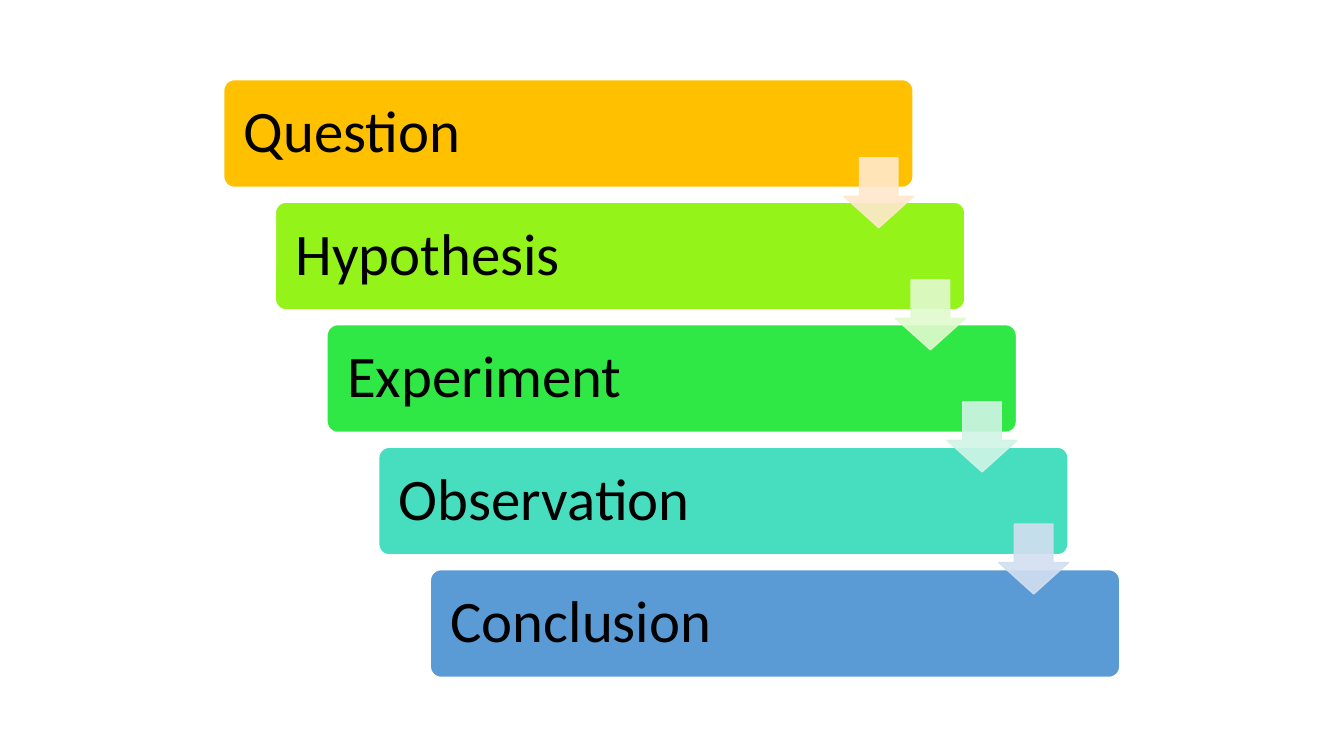
from dataclasses import dataclass

from lxml import etree
from pptx import Presentation
from pptx.dml.color import RGBColor
from pptx.enum.shapes import MSO_SHAPE
from pptx.enum.text import MSO_ANCHOR, PP_ALIGN
from pptx.oxml.ns import qn
from pptx.util import Pt


@dataclass(frozen=True)
class Theme:
    font: str = "Calibri"
    text_size: float = 42
    text: str = "000000"
    outline: str = "FFFFFF"
    bars: tuple = ("FFC000", "94F319", "30E845", "46DEBF", "5B9BD5")
    arrows: tuple = ("FFE8CC", "E1FACE", "D0F5E5", "D2DFF0")
    arrow_opacity: int = 90


THEME = Theme()
STEPS = ("Question", "Hypothesis", "Experiment", "Observation", "Conclusion")

BAR_LEFT, BAR_TOP = 159.8, 56.9
BAR_WIDTH, BAR_HEIGHT = 492.5, 77
STEP_X, STEP_Y = 36.9, 87.5
ARROW_LEFT, ARROW_TOP = 602.7, 112.7
ARROW_SIZE, ARROW_STEP_Y = 50, 87.2
TEXT_INSET = 12.25


def add_filled_shape(slide, kind, box, adjustments, fill, line):
    shape = slide.shapes.add_shape(kind, *(Pt(length) for length in box))
    for index, value in enumerate(adjustments):
        shape.adjustments[index] = value
    shape.shadow.inherit = False
    shape.fill.solid()
    shape.fill.fore_color.rgb = RGBColor.from_string(fill)
    shape.line.color.rgb = RGBColor.from_string(line)
    shape.line.width = Pt(1)
    return shape


def set_opacity(shape, percent):
    for color in shape.element.spPr.iter(qn("a:srgbClr")):
        etree.SubElement(color, qn("a:alpha"), val=str(percent * 1000))


def add_step_bar(slide, index, label, color):
    box = (BAR_LEFT + index * STEP_X, BAR_TOP + index * STEP_Y, BAR_WIDTH, BAR_HEIGHT)
    bar = add_filled_shape(
        slide, MSO_SHAPE.ROUNDED_RECTANGLE, box, (0.1,), color, THEME.outline
    )
    frame = bar.text_frame
    frame.word_wrap = True
    frame.vertical_anchor = MSO_ANCHOR.MIDDLE
    frame.margin_left = frame.margin_right = Pt(TEXT_INSET)
    frame.margin_top = frame.margin_bottom = Pt(TEXT_INSET)
    paragraph = frame.paragraphs[0]
    paragraph.alignment = PP_ALIGN.LEFT
    paragraph.line_spacing = 0.9
    run = paragraph.add_run()
    run.text = label
    run.font.name = THEME.font
    run.font.size = Pt(THEME.text_size)
    run.font.color.rgb = RGBColor.from_string(THEME.text)


def add_step_arrow(slide, index, color):
    box = (
        ARROW_LEFT + index * STEP_X,
        ARROW_TOP + index * ARROW_STEP_Y,
        ARROW_SIZE,
        ARROW_SIZE,
    )
    arrow = add_filled_shape(
        slide, MSO_SHAPE.DOWN_ARROW, box, (0.55, 0.45), color, color
    )
    set_opacity(arrow, THEME.arrow_opacity)


def main():
    deck = Presentation()
    deck.slide_width, deck.slide_height = Pt(960), Pt(540)
    slide = deck.slides.add_slide(deck.slide_layouts[6])
    for index, (label, color) in enumerate(zip(STEPS, THEME.bars)):
        add_step_bar(slide, index, label, color)
    for index, color in enumerate(THEME.arrows):
        add_step_arrow(slide, index, color)
    deck.save("out.pptx")


main()
